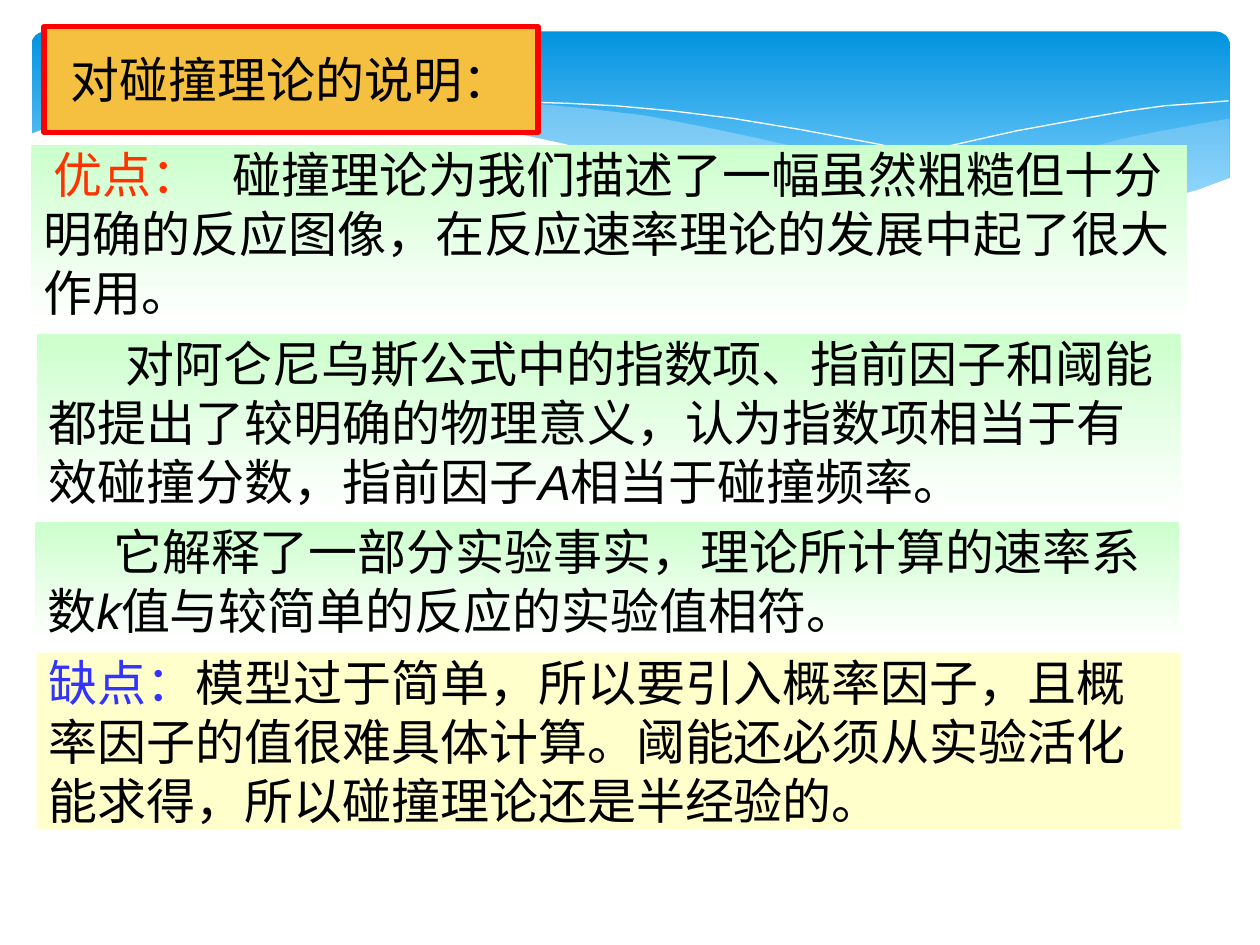
from lxml import etree
from pptx import Presentation
from pptx.dml.color import RGBColor
from pptx.enum.shapes import MSO_SHAPE
from pptx.enum.text import MSO_ANCHOR, MSO_AUTO_SIZE, PP_ALIGN
from pptx.oxml.ns import qn
from pptx.util import Inches, Pt

RECTANGLE, ROUNDED = MSO_SHAPE.RECTANGLE, MSO_SHAPE.ROUNDED_RECTANGLE
TOP, MIDDLE = MSO_ANCHOR.TOP, MSO_ANCHOR.MIDDLE
LEFT, CENTER = PP_ALIGN.LEFT, PP_ALIGN.CENTER
FIXED = MSO_AUTO_SIZE.NONE

COLORS = {
    "black": "000000", "white": "FFFFFF", "sky": "0293E0", "pale_sky": "83D3FE",
    "mist": "C6E7FC", "amber": "F5C040", "red": "FF0000", "mint": "CCFFCC",
    "cream": "FFFFCC", "merit": "FF3300", "drawback": "3333FF",
}

RIGHT_WAVE = [
    (9.76, 0.94), (9.48, 0.99), (9.21, 1.04), (8.91, 1.1), (8.61, 1.18), (8.05, 1.31),
    (7.53, 1.43), (7.06, 1.52), (6.61, 1.6), (6.91, 1.64), (7.32, 1.68), (7.69, 1.71),
    (8.03, 1.72), (8.35, 1.72), (8.63, 1.7), (8.89, 1.66), (9.13, 1.62), (9.35, 1.56),
    (9.63, 1.47), (9.76, 1.41),
]
MIDDLE_WAVE = [
    (8.93, 1.67), (8.66, 1.64), (8.07, 1.54), (7.41, 1.42), (6.68, 1.26), (6.29, 1.16),
    (5.98, 1.09), (5.55, 1), (5.14, 0.92), (4.65, 0.86), (4.2, 0.82), (3.8, 0.8),
    (3.44, 0.8), (3.13, 0.82), (2.86, 0.86), (3.23, 0.9), (3.62, 0.97), (4.04, 1.06),
    (4.49, 1.16), (5.3, 1.35), (6.01, 1.5), (6.5, 1.58), (6.95, 1.65), (7.36, 1.69),
    (7.73, 1.72), (8.07, 1.73), (8.38, 1.72), (8.67, 1.7),
]
LONG_CREST = [
    (3.09, 0.9), (3.28, 0.86), (3.53, 0.84), (3.87, 0.82), (4.16, 0.81), (4.5, 0.82),
    (4.89, 0.84), (5.33, 0.88), (5.82, 0.94), (6.36, 1.03), (6.95, 1.14), (7.6, 1.28),
    (8.31, 1.45), (9.07, 1.66),
]
SHORT_CREST = [
    (6.13, 1.51), (6.53, 1.41), (6.95, 1.3), (7.48, 1.17), (8.06, 1.04), (8.66, 0.93),
    (8.95, 0.88), (9.24, 0.84), (9.51, 0.82), (9.75, 0.8),
]
WHITE_WAVE = [
    (9.77, 1.41), (9.5, 1.51), (9.2, 1.59), (8.87, 1.66), (8.5, 1.7), (8.09, 1.71),
    (7.61, 1.7), (7.08, 1.65), (6.48, 1.56), (5.79, 1.44), (5.03, 1.28), (4.47, 1.14),
    (3.91, 1.02), (3.4, 0.92), (2.92, 0.85), (2.5, 0.81), (2.11, 0.78), (1.77, 0.78),
    (1.46, 0.79), (1.19, 0.82), (0.95, 0.85), (0.76, 0.89), (0.59, 0.93), (0.46, 0.98),
    (0.36, 1.02), (0.23, 1.07), (0.23, 2.24), (9.77, 2.24),
]


def rgb(name):
    """Return the named colour."""
    return RGBColor.from_string(COLORS[name])


def paint(shape, start, end=None, end_position=1):
    """Fill a shape plainly, or from top to bottom when an end colour is given."""
    if end is None:
        shape.fill.solid()
        shape.fill.fore_color.rgb = rgb(start)
        return
    shape.fill.gradient()
    shape.fill.gradient_angle = 270
    for stop, color, position in zip(shape.fill.gradient_stops, (start, end), (0, end_position)):
        stop.color.rgb = rgb(color)
        stop.position = position


def add_block(slide, preset, box, **fill):
    """Add a borderless filled preset shape."""
    block = slide.shapes.add_shape(preset, *map(Inches, box))
    block.shadow.inherit = False
    block.line.fill.background()
    paint(block, **fill)
    return block


def trace(slide, points, closed):
    """Draw a path through points given in inches."""
    corners = [(Inches(x), Inches(y)) for x, y in points]
    builder = slide.shapes.build_freeform(*corners[0])
    builder.add_line_segments(corners[1:], close=closed)
    outline = builder.convert_to_shape()
    outline.shadow.inherit = False
    return outline


def add_wave(slide, points, color, opacity=100):
    """Add a filled wave with the given opacity in percent."""
    wave = trace(slide, points, True)
    wave.line.fill.background()
    paint(wave, color)
    if opacity < 100:
        tint = wave.fill._xPr.find(qn("a:solidFill"))[0]
        etree.SubElement(tint, qn("a:alpha"), val=str(opacity * 1000))


def add_crest(slide, points):
    """Add a white hairline curve."""
    crest = trace(slide, points, False)
    crest.fill.background()
    crest.line.color.rgb = rgb("white")
    crest.line.width = Pt(0)


def write(shape, runs, anchor=TOP, align=LEFT, wrap=True, inset=0, indent=0, tab=None):
    """Write one paragraph from (text, format) runs."""
    frame = shape.text_frame
    frame.auto_size = FIXED
    frame.word_wrap = wrap
    frame.vertical_anchor = anchor
    frame.margin_left = frame.margin_right = Inches(0.1)
    frame.margin_top = frame.margin_bottom = Inches(inset)
    paragraph = frame.paragraphs[0]
    paragraph.alignment = align
    properties = paragraph._p.get_or_add_pPr()
    properties.set("marL", "0")
    properties.set("indent", str(Inches(indent)))
    if tab:
        stops = etree.SubElement(properties, qn("a:tabLst"))
        etree.SubElement(stops, qn("a:tab"), pos=str(Inches(tab)), algn="l")
    for text, style in runs:
        run = paragraph.add_run()
        run.text = text
        run.font.size = Pt(28)
        run.font.name = style.get("font", "Arial")
        run.font.italic = style.get("italic", False)
        run.font.color.rgb = rgb(style.get("color", "black"))


def add_backdrop(slide):
    """Add the blue band and its waves."""
    band = add_block(slide, ROUNDED, (0.25, 0.25, 9.51, 1.56),
                     start="sky", end="pale_sky", end_position=0.9)
    band.adjustments[0] = 0.07
    add_wave(slide, RIGHT_WAVE, "mist", 29)
    add_wave(slide, MIDDLE_WAVE, "mist", 40)
    add_crest(slide, LONG_CREST)
    add_crest(slide, SHORT_CREST)
    add_wave(slide, WHITE_WAVE, "white")


def add_heading(slide, text):
    """Shape the title placeholder as a framed plate above the backdrop."""
    heading = slide.shapes.title
    slide.shapes._spTree.append(heading._element)
    heading.left, heading.top, heading.width, heading.height = map(Inches, (0.35, 0.21, 3.92, 0.84))
    etree.SubElement(heading._element.spPr, qn("a:prstGeom"), prst="flowChartAlternateProcess")
    paint(heading, "amber")
    heading.line.color.rgb = rgb("red")
    heading.line.width = Pt(3)
    write(heading, [(text, {"font": "Calibri"})], anchor=MIDDLE, align=CENTER, wrap=False, inset=0.05)


def main():
    """Build and save the slide."""
    deck = Presentation()
    deck.slide_width, deck.slide_height = Inches(10), Inches(7.5)
    slide = deck.slides.add_slide(deck.slide_layouts[5])
    add_backdrop(slide)
    add_heading(slide, "对碰撞理论的说明：")
    mint_fade = {"start": "mint", "end": "white"}
    statements = [
        ((0.25, 1.15, 9.17, 1.4), mint_fade, {"indent": 0.08, "tab": 1.77}, [
            ("优点：", {"color": "merit"}),
            ("\t碰撞理论为我们描述了一幅虽然粗糙但十分明确的反应图像，在反应速率理论的发展中起了很大作用。", {})]),
        ((0.29, 2.65, 9.08, 1.4), mint_fade, {"indent": 0.61}, [
            ("对阿仑尼乌斯公式中的指数项、指前因子和阈能都提出了较明确的物理意义，"
             "认为指数项相当于有效碰撞分数，指前因子", {}),
            ("A", {"italic": True}),
            ("相当于碰撞频率。", {})]),
        ((0.28, 4.14, 9.08, 0.93), mint_fade, {"indent": 0.52}, [
            ("它解释了一部分实验事实，理论所计算的速率系数", {}),
            ("k", {"italic": True}),
            ("值与较简单的反应的实验值相符。", {})]),
        ((0.29, 5.18, 9.08, 1.4), {"start": "cream"}, {}, [
            ("缺点：", {"color": "drawback", "font": "Calibri"}),
            ("模型过于简单，所以要引入概率因子，且概率因子的值很难具体计算。"
             "阈能还必须从实验活化能求得，所以碰撞理论还是半经验的。", {})]),
    ]
    for box, fill, layout, runs in statements:
        write(add_block(slide, RECTANGLE, box, **fill), runs, **layout)
    deck.save("out.pptx")


if __name__ == "__main__":
    main()
